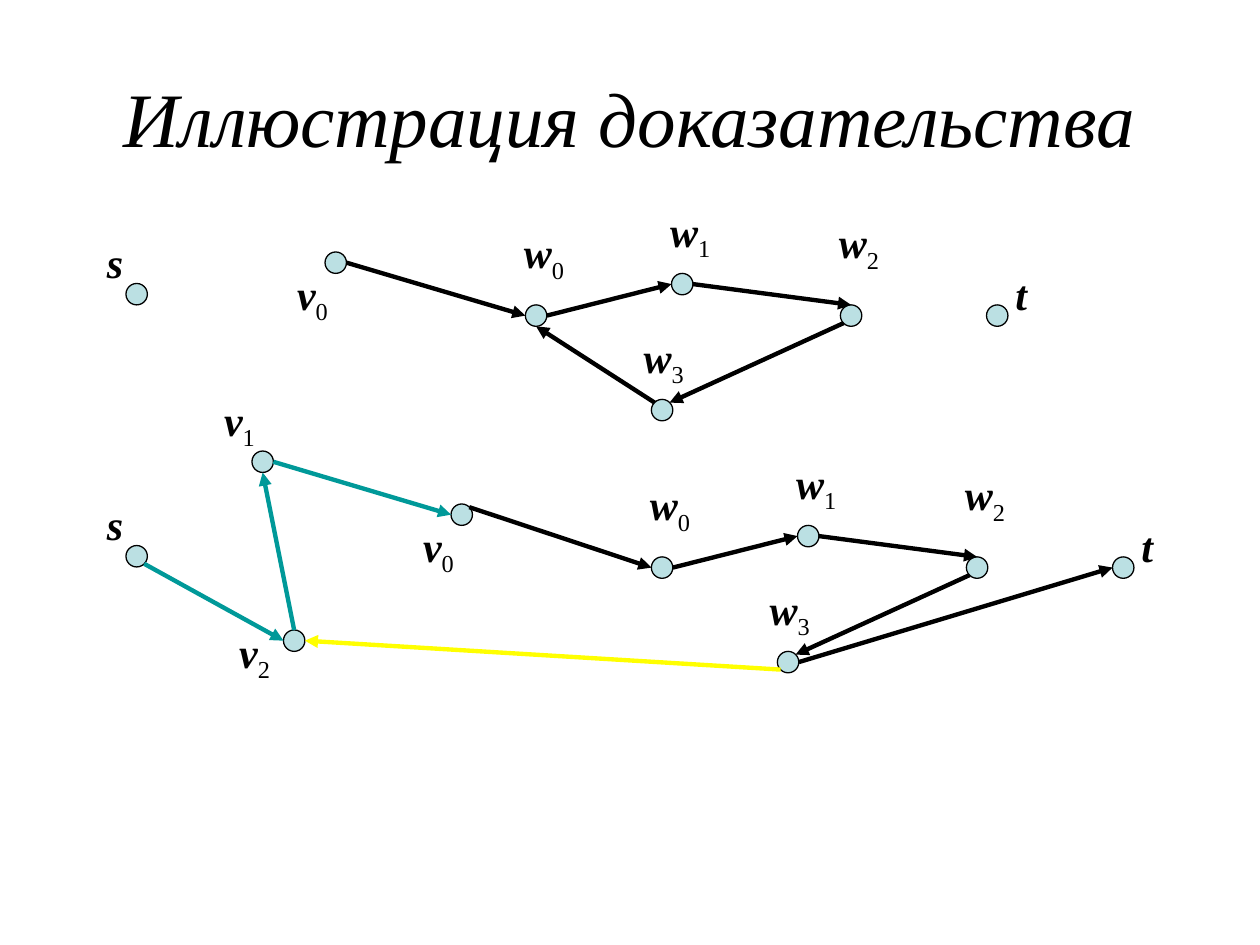
"""Build the slide that illustrates a proof with two directed graphs."""
from lxml import etree
from pptx import Presentation
from pptx.dml.color import RGBColor
from pptx.enum import shapes, text
from pptx.oxml import ns
from pptx.util import Inches, Pt

COLORS = {"black": "000000", "node": "BBE0E3", "teal": "009999", "yellow": "FFFF00"}
DIAMETER = 0.17
SIDES = {
    "top": (0.5, 0), "left": (0, 0.5), "bottom": (0.5, 1), "right": (1, 0.5),
    "top left": (0.15, 0.15), "top right": (0.85, 0.15),
    "bottom left": (0.15, 0.85), "bottom right": (0.85, 0.85),
}
LABEL_SIZES = {"s": (0.33, 0.5), "t": (0.29, 0.5), "v": (0.46, 0.56), "w": (0.53, 0.56)}

shared_nodes = {
    "v0": (2.58, 2), "w0": (4.17, 2.42), "w1": (5.33, 2.17),
    "w2": (6.67, 2.42), "w3": (5.17, 3.17), "t": (7.83, 2.42),
}
label_offsets = {
    "s": (-0.25, -0.42), "t": (0.13, -0.34),
    "v0": (-0.32, 0.08), "v1": (-0.32, -0.5), "v2": (-0.45, -0.08),
    "w0": (-0.11, -0.67), "w1": (-0.11, -0.59), "w2": (-0.11, -0.75), "w3": (-0.16, -0.59),
}
shared_edges = [
    ("w0", "right", "w1", "left", "black"),
    ("w1", "right", "w2", "top", "black"),
    ("w2", "bottom left", "w3", "top right", "black"),
]
upper_nodes = shared_nodes | {"s": (1, 2.25)}
lower_nodes = {name: (x + 1, y + 2) for name, (x, y) in shared_nodes.items()}
lower_nodes |= {"s": (1, 4.33), "v1": (2, 3.58), "v2": (2.25, 5)}
upper_edges = shared_edges + [
    ("w3", "top left", "w0", "bottom", "black"),
    ("v0", "right", "w0", "left", "black"),
]
lower_edges = shared_edges + [
    ("w3", "right", "t", "left", "black"),
    ("v0", "top right", "w0", "left", "black"),
    ("v1", "right", "v0", "left", "teal"),
    ("v2", "top", "v1", "bottom", "teal"),
    ("w3", "bottom left", "v2", "right", "yellow"),
    ("s", "bottom right", "v2", "left", "teal"),
]


def add_text(paragraph, words, size=24, bold=False, italic=False, baseline=0):
    run = paragraph.add_run()
    run.text = words
    run.font.name = "Times New Roman"
    run.font.size = Pt(size)
    run.font.bold = bold
    run.font.italic = italic
    run.font.color.rgb = RGBColor.from_string(COLORS["black"])
    if baseline:
        run.font._element.set("baseline", str(baseline * 1000))


presentation = Presentation()
presentation.slide_width, presentation.slide_height = Inches(10), Inches(7.5)
slide = presentation.slides.add_slide(presentation.slide_layouts[5])

title = slide.shapes.title
title.left, title.top, title.width, title.height = map(Inches, (0.5, 0.3, 9, 1.25))
title.text_frame.vertical_anchor = text.MSO_ANCHOR.MIDDLE
title.text_frame.paragraphs[0].alignment = text.PP_ALIGN.CENTER
add_text(title.text_frame.paragraphs[0], "Иллюстрация доказательства", size=44, italic=True)

for nodes, edges in ((upper_nodes, upper_edges), (lower_nodes, lower_edges)):
    for name, (x, y) in nodes.items():
        node = slide.shapes.add_shape(
            shapes.MSO_SHAPE.OVAL, Inches(x), Inches(y), Inches(DIAMETER), Inches(DIAMETER))
        node.shadow.inherit = False
        node.fill.solid()
        node.fill.fore_color.rgb = RGBColor.from_string(COLORS["node"])
        node.line.color.rgb = RGBColor.from_string(COLORS["black"])
        node.line.width = Pt(0.75)

        letter, index = name[0], name[1:]
        offset_x, offset_y = label_offsets[name]
        width, height = LABEL_SIZES[letter]
        label = slide.shapes.add_textbox(
            Inches(x + offset_x), Inches(y + offset_y), Inches(width), Inches(height))
        label.text_frame.word_wrap = False
        label.text_frame.auto_size = text.MSO_AUTO_SIZE.SHAPE_TO_FIT_TEXT
        paragraph = label.text_frame.paragraphs[0]
        add_text(paragraph, letter, bold=True, italic=True)
        if index:
            add_text(paragraph, index, baseline=-25)

    for start, start_side, end, end_side, color in edges:
        points = [
            Inches(corner + DIAMETER * share)
            for name, side in ((start, start_side), (end, end_side))
            for corner, share in zip(nodes[name], SIDES[side])
        ]
        arrow = slide.shapes.add_connector(shapes.MSO_CONNECTOR.STRAIGHT, *points)
        arrow.line.color.rgb = RGBColor.from_string(COLORS[color])
        arrow.line.width = Pt(2.5)
        etree.SubElement(arrow.line._get_or_add_ln(), ns.qn("a:tailEnd"), type="triangle")
        etree.SubElement(arrow._element.spPr, ns.qn("a:effectLst"))

presentation.save("out.pptx")
